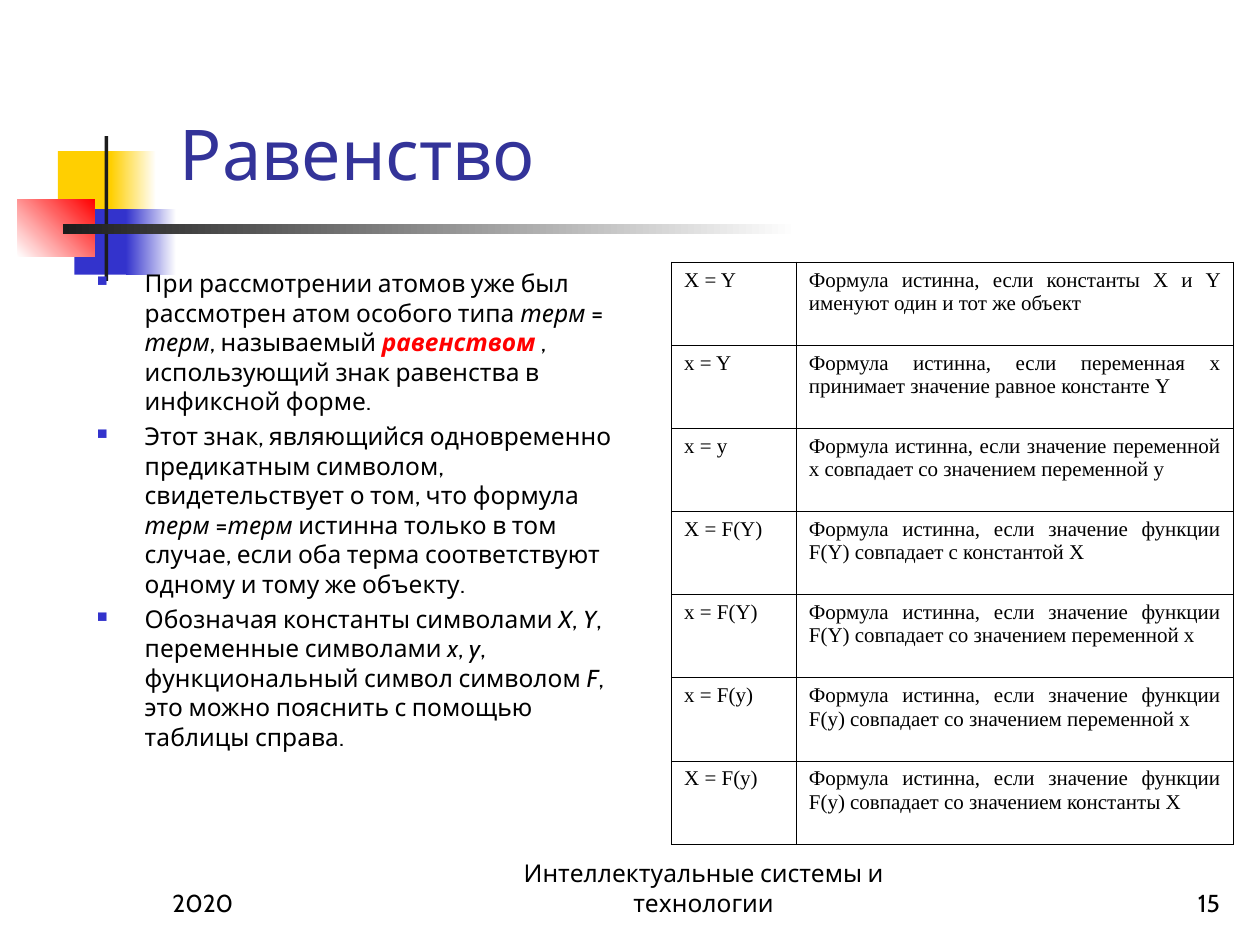
from pptx import Presentation
from pptx.dml.color import RGBColor
from pptx.enum.shapes import MSO_SHAPE
from pptx.enum.text import MSO_ANCHOR, PP_ALIGN
from pptx.oxml import parse_xml
from pptx.oxml.ns import nsdecls
from pptx.util import Inches, Pt

THEME = {
    "font": "Cabin", "serif": "Times New Roman",
    "head": 40, "text": 14, "cell": 12, "gap": 3.5, "rule": 0.45,
    "ink": "000000", "title": "333399", "key": "FF0000", "white": "FFFFFF",
    "gold": "FFCF01", "blue": "3333CC", "red": "FF0000", "dark": "1C1C1C",
}
DECOR = [
    ((0.46, 1.2, 0.48, 0.52), ("gold",), 0),
    ((0.88, 1.2, 0.36, 0.52), ("gold", "white"), 0),
    ((0.59, 1.66, 0.46, 0.52), ("blue",), 0),
    ((1, 1.66, 0.4, 0.52), ("blue", "white"), 0),
    ((0.14, 1.58, 0.61, 0.46), ("white", "red"), 45),
    ((0.83, 1.08, 0.03, 1.15), ("dark",), 0),
    ((0.5, 1.78, 5.83, 0.08), ("dark", "white"), 0),
]
TITLE = "Равенство"
FOOT = [
    ((1.27, 6.83, 2.08, 0.5), "2020", PP_ALIGN.LEFT),
    ((4, 6.83, 3.17, 0.5), "Интеллектуальные системы и технологии", PP_ALIGN.CENTER),
    ((7.7, 6.83, 2.08, 0.5), "15", PP_ALIGN.RIGHT),
]
BODY = [
    [("При рассмотрении атомов уже был рассмотрен атом особого типа ", ""),
     ("терм ", "i"), ("= ", ""), ("терм", "i"), (", называемый ", ""),
     ("равенством", "bi"),
     (" , использующий знак равенства в инфиксной форме.", "")],
    [("Этот знак, являющийся одновременно предикатным символом, "
      "свидетельствует о том, что формула ", ""),
     ("терм ", "i"), ("=", ""), ("терм", "i"),
     (" истинна только в том случае, если оба терма соответствуют "
      "одному и тому же объекту.", "")],
    [("Обозначая константы символами ", ""), ("X", "i"), (", ", ""), ("Y", "i"),
     (", переменные символами ", ""), ("x", "i"), (", ", ""), ("y", "i"),
     (", функциональный символ символом ", ""), ("F", "i"),
     (", это можно пояснить с помощью таблицы справа.", "")],
]
LEAD = "Формула истинна, если "
ROWS = [
    ("X = Y", "константы X и Y именуют один и тот же объект"),
    ("x = Y", "переменная x принимает значение равное константе Y"),
    ("x = y", "значение переменной x совпадает со значением переменной y"),
    ("X = F(Y)", "значение функции F(Y) совпадает с константой X"),
    ("x = F(Y)", "значение функции F(Y) совпадает со значением переменной x"),
    ("x = F(y)", "значение функции F(y) совпадает со значением переменной x"),
    ("X = F(y)", "значение функции F(y) совпадает со значением константы X"),
]
COLS = (0.99, 3.47)
GRID = (5.33, 2.08, sum(COLS), 4.62)


def color(name):
    return RGBColor.from_string(THEME[name])


def add_run(para, text, size, tint="ink", face="font", style=""):
    run = para.add_run()
    run.text = text
    font = run.font
    font.name, font.size = THEME[face], Pt(THEME[size])
    font.bold, font.italic = "b" in style, "i" in style
    font.color.rgb = color(tint)


def add_box(slide, area, anchor):
    frame = slide.shapes.add_textbox(*map(Inches, area)).text_frame
    frame.word_wrap = True
    frame.vertical_anchor = anchor
    return frame


def add_decor(slide):
    for area, tints, angle in DECOR:
        shape = slide.shapes.add_shape(MSO_SHAPE.RECTANGLE, *map(Inches, area))
        shape.shadow.inherit = False
        shape.line.fill.background()
        if len(tints) == 1:
            shape.fill.solid()
            shape.fill.fore_color.rgb = color(tints[0])
            continue
        shape.fill.gradient()
        shape.fill.gradient_angle = angle
        for stop, tint in zip(shape.fill.gradient_stops, tints):
            stop.color.rgb = color(tint)


def add_bullet(para):
    props = para._p.get_or_add_pPr()
    props.set("marL", str(Inches(0.38)))
    props.set("indent", str(-Inches(0.38)))
    for tag in (f'buClr {nsdecls("a")}><a:srgbClr val="{THEME["blue"]}"/></a:buClr>',
                f'buSzPct {nsdecls("a")} val="60000"/>',
                f'buChar {nsdecls("a")} char="■"/>'):
        props.append(parse_xml("<a:" + tag))


def add_body(slide):
    frame = add_box(slide, (0.67, 2.08, 4.42, 4.62), MSO_ANCHOR.TOP)
    for num, runs in enumerate(BODY):
        para = frame.add_paragraph() if num else frame.paragraphs[0]
        para.space_before = Pt(THEME["gap"])
        add_bullet(para)
        for text, style in runs:
            add_run(para, text, "text", "key" if "b" in style else "ink", style=style)


def add_rules(cell):
    props = cell._tc.get_or_add_tcPr()
    for side in "LRTB":
        props.append(parse_xml(
            f'<a:ln{side} {nsdecls("a")} w="{Pt(THEME["rule"])}"><a:solidFill>'
            f'<a:srgbClr val="{THEME["ink"]}"/></a:solidFill></a:ln{side}>'))


def add_grid(slide):
    table = slide.shapes.add_table(len(ROWS), len(COLS), *map(Inches, GRID)).table
    table.first_row = table.horz_banding = False
    for col, width in zip(table.columns, COLS):
        col.width = Inches(width)
    for row, (term, note) in zip(table.rows, ROWS):
        row.height = Inches(GRID[3] / len(ROWS))
        for cell, text in zip(row.cells, (term, LEAD + note)):
            add_rules(cell)
            cell.fill.background()
            para = cell.text_frame.paragraphs[0]
            para.alignment = PP_ALIGN.JUSTIFY
            add_run(para, text, "cell", face="serif")


def main():
    """Build the slide on equality of terms."""
    deck = Presentation()
    deck.slide_width, deck.slide_height = Inches(10), Inches(7.5)
    slide = deck.slides.add_slide(deck.slide_layouts[6])
    add_decor(slide)
    head = add_box(slide, (1.33, 0.17, 8.52, 1.42), MSO_ANCHOR.BOTTOM)
    add_run(head.paragraphs[0], TITLE, "head", "title")
    add_body(slide)
    add_grid(slide)
    for area, text, align in FOOT:
        para = add_box(slide, area, MSO_ANCHOR.BOTTOM).paragraphs[0]
        para.alignment = align
        add_run(para, text, "text")
    deck.save("out.pptx")


if __name__ == "__main__":
    main()
